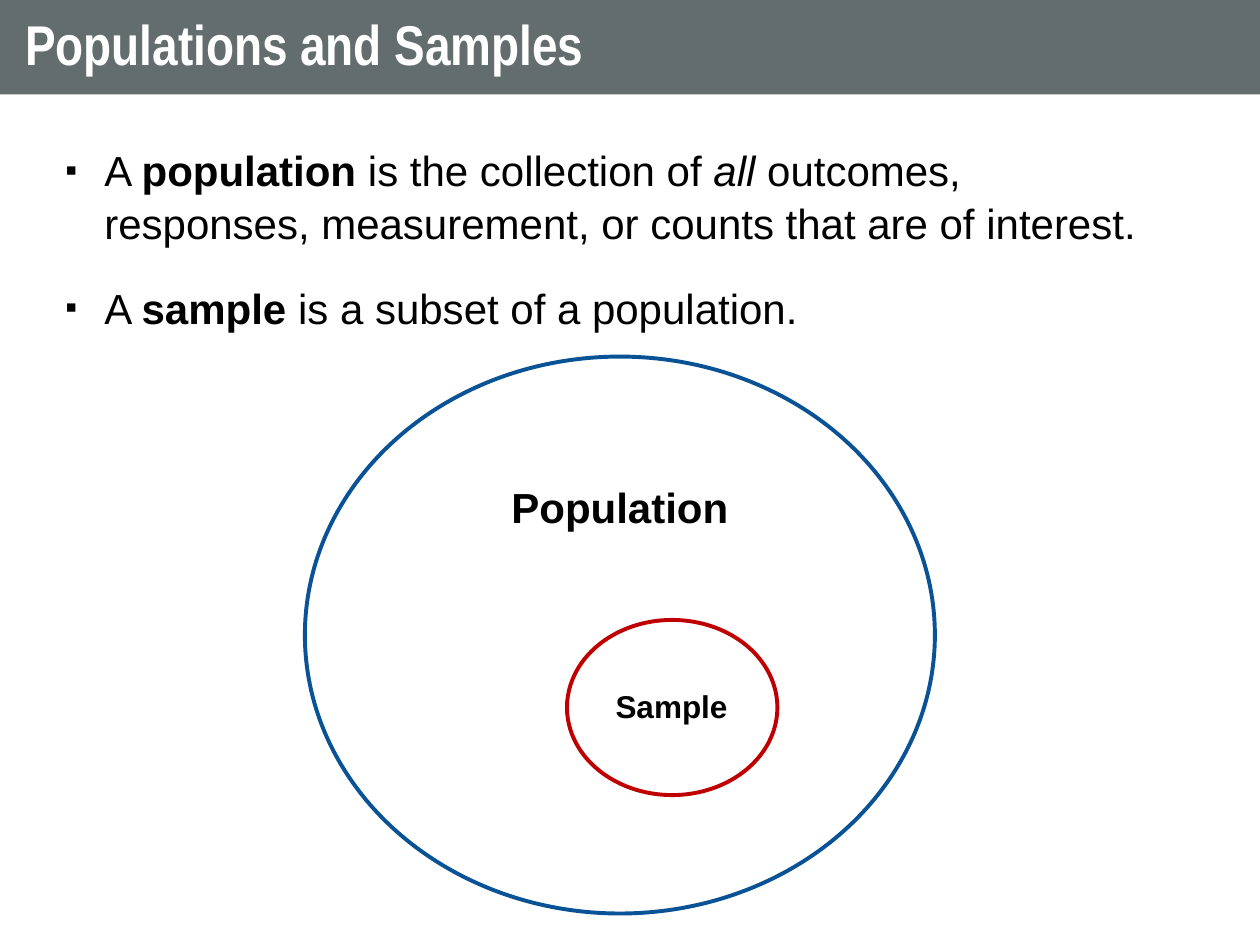
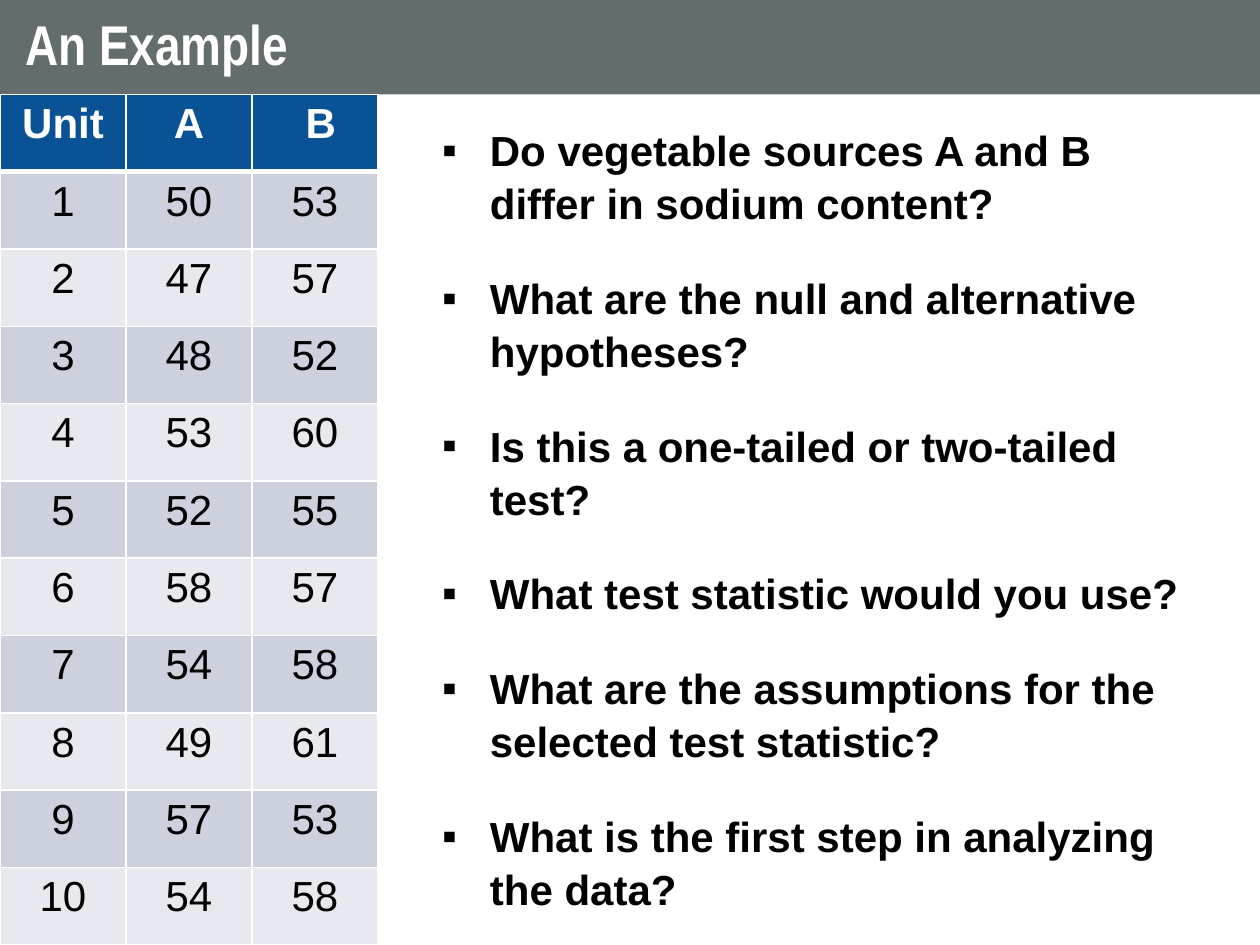
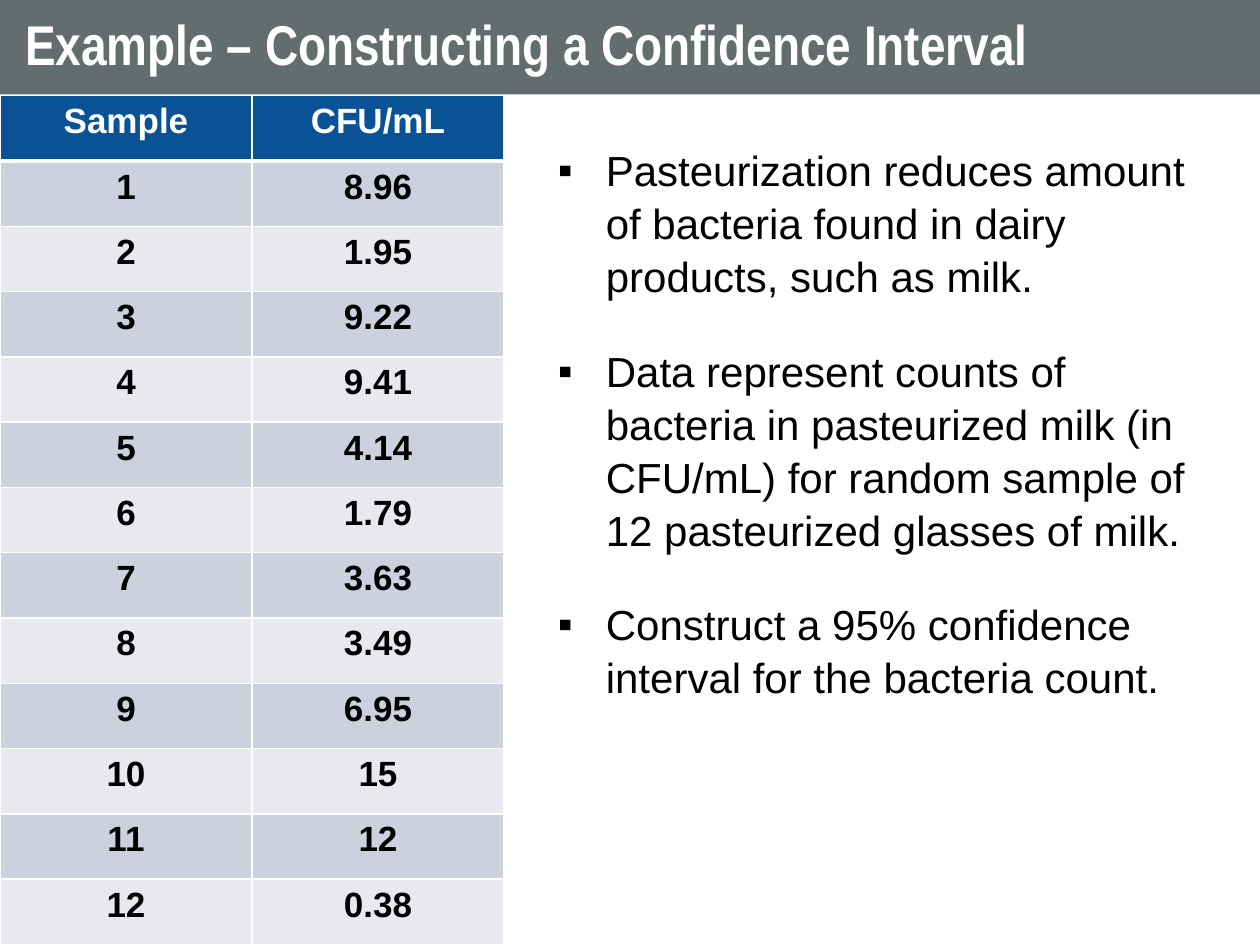
from dataclasses import dataclass

from lxml import etree
from pptx import Presentation
from pptx.dml.color import RGBColor
from pptx.enum import shapes, text
from pptx.oxml import ns
from pptx.util import Inches, Pt


@dataclass(frozen=True)
class Theme:
    band: str = "636D6E"
    blue: str = "085295"
    red: str = "C00000"
    row_dark: str = "CCD1DD"
    row_light: str = "E7E9EF"
    white: str = "FFFFFF"
    black: str = "000000"
    title_font: str = "Arial Narrow"
    body_font: str = "Arial"
    title_size: int = 32
    body_size: int = 24
    table_size: int = 20
    label_size: int = 18
    outline: float = 2.25
    rule: int = 1
    header_rule: int = 3
    line_spacing: float = 1.05


def rgb(value):
    return RGBColor.from_string(value)


def add_child(parent, tag, **attributes):
    return etree.SubElement(parent, ns.qn(tag), attributes)


class Deck:
    """Holds the theme and the slide being filled."""

    WIDTH, HEIGHT, BAND_HEIGHT = 10, 7.5, 0.75

    def __init__(self, theme):
        self.theme = theme
        self.presentation = Presentation()
        self.presentation.slide_width = Inches(self.WIDTH)
        self.presentation.slide_height = Inches(self.HEIGHT)
        self.slide = None

    def new_slide(self, title):
        blank = self.presentation.slide_layouts[6]
        self.slide = self.presentation.slides.add_slide(blank)
        band = self.slide.shapes.add_shape(
            shapes.MSO_SHAPE.RECTANGLE, 0, 0, Inches(self.WIDTH), Inches(self.BAND_HEIGHT))
        band.shadow.inherit = False
        band.fill.solid()
        band.fill.fore_color.rgb = rgb(self.theme.band)
        band.line.fill.background()
        frame = band.text_frame
        frame.word_wrap = True
        frame.vertical_anchor = text.MSO_ANCHOR.MIDDLE
        frame.margin_left = frame.margin_right = Inches(0.2)
        frame.margin_top = frame.margin_bottom = Inches(0.1)
        heading = frame.paragraphs[0]
        heading.alignment = text.PP_ALIGN.LEFT
        heading.line_spacing = 0.9
        self.run(heading, title, self.theme.title_size, self.theme.white, bold=True,
                 font=self.theme.title_font)

    def run(self, paragraph, words, size, color, bold=False, italic=False, font=None):
        run = paragraph.add_run()
        run.text = words
        run.font.name = font or self.theme.body_font
        run.font.size = Pt(size)
        run.font.bold = bold
        run.font.italic = italic
        run.font.color.rgb = rgb(color)

    def text_frame(self, area, holder, grows):
        frame = holder.shapes.add_textbox(*map(Inches, area)).text_frame
        frame.word_wrap = True
        if grows:
            frame.auto_size = text.MSO_AUTO_SIZE.SHAPE_TO_FIT_TEXT
        return frame

    def bullets(self, area, items, indent=0.38, gap=24, mark_percent=100, bold=False, grows=True):
        """Each item is a list of (words, style) pairs; style is "", "b" or "i"."""
        frame = self.text_frame(area, self.slide, grows)
        for number, item in enumerate(items):
            paragraph = frame.add_paragraph() if number else frame.paragraphs[0]
            paragraph.line_spacing = self.theme.line_spacing
            paragraph.space_after = Pt(gap)
            properties = paragraph._p.get_or_add_pPr()
            properties.set("marL", str(Inches(indent)))
            properties.set("indent", str(-Inches(indent)))
            mark_color = add_child(properties, "a:buClr")
            add_child(mark_color, "a:srgbClr", val=self.theme.black)
            add_child(properties, "a:buSzPct", val=str(mark_percent * 1000))
            add_child(properties, "a:buFont", typeface=self.theme.body_font)
            add_child(properties, "a:buChar", char="▪")
            for words, style in item:
                self.run(paragraph, words, self.theme.body_size, self.theme.black,
                         bold=bold or style == "b", italic=style == "i")

    def group(self):
        return self.slide.shapes.add_group_shape()

    def ellipse(self, area, color, holder):
        outline = holder.shapes.add_shape(shapes.MSO_SHAPE.OVAL, *map(Inches, area))
        outline.shadow.inherit = False
        outline.fill.background()
        outline.line.color.rgb = rgb(color)
        outline.line.width = Pt(self.theme.outline)

    def label(self, area, words, size, holder):
        paragraph = self.text_frame(area, holder, grows=True).paragraphs[0]
        paragraph.alignment = text.PP_ALIGN.CENTER
        paragraph.line_spacing = self.theme.line_spacing
        self.run(paragraph, words, size, self.theme.black, bold=True)

    def table(self, top, column_width, rows, size, bold_body=False):
        """Fill the left edge from top to the foot of the slide."""
        theme = self.theme
        columns = len(rows[0])
        height = self.HEIGHT - top
        table = self.slide.shapes.add_table(
            len(rows), columns, 0, Inches(top),
            Inches(columns * column_width), Inches(height)).table
        table.first_row = table.horz_banding = False
        for column in table.columns:
            column.width = Inches(column_width)
        for r, values in enumerate(rows):
            table.rows[r].height = Inches(height / len(rows))
            header = r == 0
            fill = theme.blue if header else (theme.row_light, theme.row_dark)[r % 2]
            for c, value in enumerate(values):
                cell = table.cell(r, c)
                cell.fill.solid()
                cell.fill.fore_color.rgb = rgb(fill)
                self.borders(cell, r)
                paragraph = cell.text_frame.paragraphs[0]
                paragraph.alignment = text.PP_ALIGN.CENTER
                self.run(paragraph, value, size, theme.white if header else theme.black,
                         bold=header or bold_body)

    def borders(self, cell, row):
        """White rules, with a thick one between the header and the body."""
        thick = {0: "a:lnB", 1: "a:lnT"}.get(row)
        properties = cell._tc.get_or_add_tcPr()
        for place, side in enumerate(("a:lnL", "a:lnR", "a:lnT", "a:lnB")):
            width = self.theme.header_rule if side == thick else self.theme.rule
            line = etree.Element(ns.qn(side), w=str(Pt(width)))
            add_child(add_child(line, "a:solidFill"), "a:srgbClr", val=self.theme.white)
            properties.insert(place, line)


def populations(deck):
    deck.new_slide("Populations and Samples")
    deck.bullets((0.42, 1.08, 9, 5.45), [
        [("A ", ""), ("population ", "b"), ("is the collection of ", ""), ("all", "i"),
         (" outcomes, responses, measurement, or counts that are of interest.", "")],
        [("A ", ""), ("sample ", "b"), ("is a subset of a population.", "")],
    ], indent=0.31, gap=18, mark_percent=80, grows=False)
    diagram = deck.group()
    deck.ellipse((2.42, 2.83, 5, 4.42), deck.theme.blue, diagram)
    deck.ellipse((4.5, 4.92, 1.67, 1.39), deck.theme.red, diagram)
    deck.label((2.92, 3.75, 4, 0.5), "Population", deck.theme.body_size, diagram)
    deck.label((4.58, 5.39, 1.5, 0.4), "Sample", deck.theme.label_size, diagram)


def sodium_example(deck):
    source_a = (50, 47, 48, 53, 52, 58, 54, 49, 57, 54)
    source_b = (53, 57, 52, 60, 55, 57, 58, 61, 53, 58)
    units = [[str(unit), str(a), str(b)]
             for unit, (a, b) in enumerate(zip(source_a, source_b), 1)]
    questions = (
        "Do vegetable sources A and B differ in sodium content?",
        "What are the null and alternative hypotheses?",
        "Is this a one-tailed or two-tailed test?",
        "What test statistic would you use?",
        "What are the assumptions for the selected test statistic?",
        "What is the first step in analyzing the data?",
    )
    deck.new_slide("An Example")
    deck.table(0.75, 1, [["Unit", "A", " B"]] + units, deck.theme.body_size)
    deck.bullets((3.41, 0.92, 6.25, 6.23), [[(question, "")] for question in questions], bold=True)


def confidence_interval(deck):
    counts = (8.96, 1.95, 9.22, 9.41, 4.14, 1.79, 3.63, 3.49, 6.95, 15, 12, 0.38)
    samples = [[str(sample), str(count)] for sample, count in enumerate(counts, 1)]
    points = (
        "Pasteurization reduces amount of bacteria found in dairy products, such as milk.",
        "Data represent counts of bacteria in pasteurized milk (in CFU/mL) for random "
        "sample of 12 pasteurized glasses of milk.",
        "Construct a 95% confidence interval for the bacteria count.",
    )
    deck.new_slide("Example – Constructing a Confidence Interval")
    deck.bullets((4.33, 1.08, 5.25, 4.41), [[(point, "")] for point in points])
    deck.table(0.76, 2, [["Sample", "CFU/mL"]] + samples, deck.theme.table_size, bold_body=True)


def main():
    deck = Deck(Theme())
    populations(deck)
    sodium_example(deck)
    confidence_interval(deck)
    deck.presentation.save("out.pptx")


if __name__ == "__main__":
    main()
